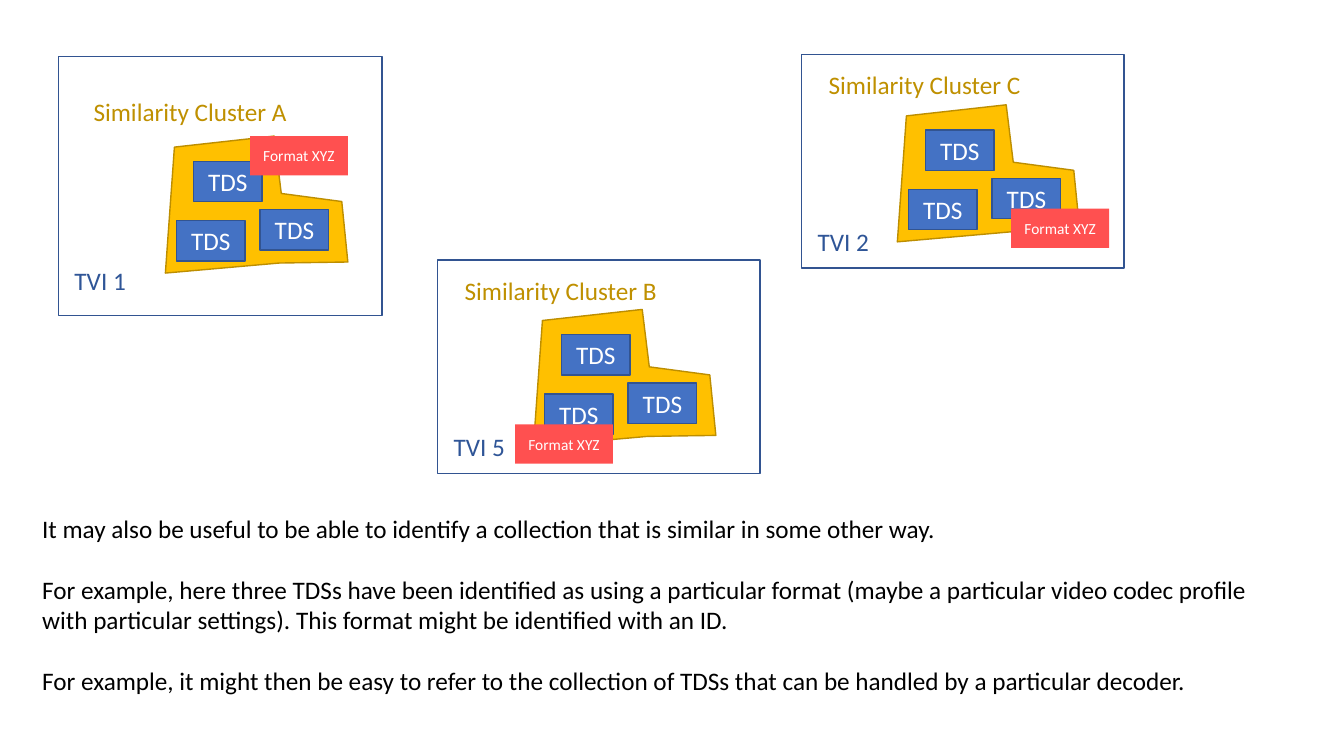
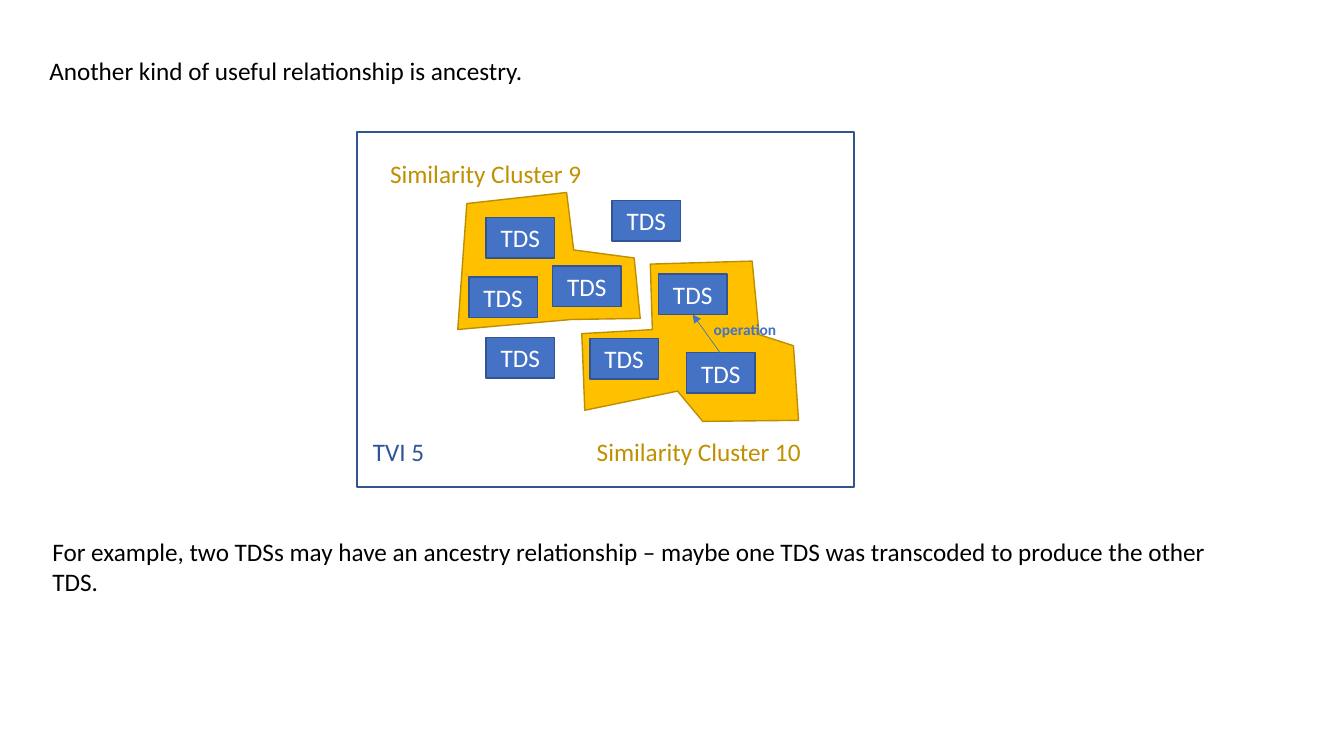
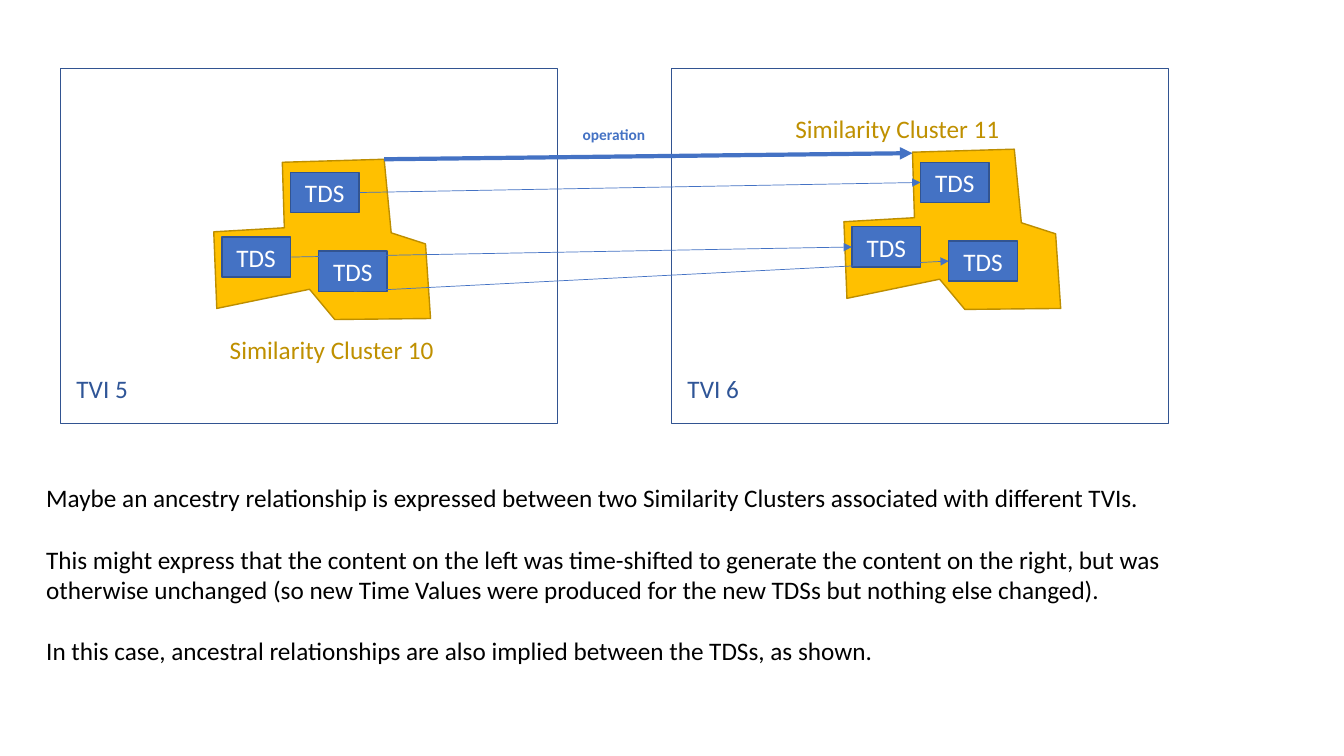
"""Build three slides on similarity clusters, shared formats and ancestry."""
from pptx import Presentation, util as u
from pptx.dml.color import RGBColor
from pptx.enum import shapes, text
from pptx.oxml.ns import qn
from lxml import etree

FONT = "Calibri"
BLUE, EDGE, NAVY = "4472C4", "325491", "2F5597"
GOLD, GOLD_EDGE, GOLD_TEXT = "FFC000", "BD8E00", "BF9000"
RED, WHITE, BLACK = "FF5050", "FFFFFF", "000000"

SMALL = {
    "outline": [(0.09, 0.11), (0, 1.36), (1.13, 1.26), (1.81, 1.25),
                (1.75, 0.65), (1.15, 0.57), (1.08, 0)],
    "tds": [(0.28, 0.25), (0.94, 0.73), (0.11, 0.84)],
}
LARGE = {
    "outline": [(0.68, 0.03), (0.7, 0.68), (0, 0.72), (0.03, 1.48), (0.95, 1.29),
                (1.2, 1.59), (2.15, 1.58), (2.1, 0.84), (1.76, 0.73), (1.69, 0)],
    "tds": [(0.76, 0.13), (0.08, 0.77), (1.04, 0.91)],
}

SLIDES = [
    {
        "clusters": [(SMALL, 1.64, 1.35), (SMALL, 8.9, 1.04), (SMALL, 5.29, 3.07)],
        "loose_tds": [],
        "frames": [("TVI 1", 0.58, 0.56, 3.21, 2.57, 2.58),
                   ("TVI 2", 7.95, 0.54, 3.2, 2.12, 2.2),
                   ("TVI 5", 4.34, 2.58, 3.2, 2.12, 4.23)],
        "names": [("Similarity Cluster A", 0.83, 0.91, 2.14),
                  ("Similarity Cluster C", 8.12, 0.64, 2.12),
                  ("Similarity Cluster B", 4.51, 2.68, 2.13)],
        "formats": [(2.48, 1.35), (5.11, 4.21), (10.03, 2.07)],
        "arrows": [],
        "operations": [],
        "notes": [(0.32, 5.04, 12.49, 1.92, [
            "It may also be useful to be able to identify a collection that is "
            "similar in some other way.",
            "For example, here three TDSs have been identified as using a particular "
            "format (maybe a particular video codec profile with particular settings). "
            "This format might be identified with an ID.",
            "For example, it might then be easy to refer to the collection of TDSs "
            "that can be handled by a particular decoder."])],
    },
    {
        "clusters": [(LARGE, 5.77, 2.59), (SMALL, 4.54, 1.91)],
        "loose_tds": [(6.07, 1.99), (4.82, 3.35)],
        "frames": [("TVI 5", 3.54, 1.31, 4.93, 3.52, 4.28)],
        "names": [("Similarity Cluster 9", 3.77, 1.52, 2.12),
                  ("Similarity Cluster 10", 5.82, 4.28, 2.25)],
        "formats": [],
        "arrows": [(7.15, 3.51, 6.87, 3.12, 0.5)],
        "operations": [(6.98, 3.13)],
        "notes": [
            (0.39, 0.5, 11.71, 0.71, ["Another kind of useful relationship is ancestry."]),
            (0.42, 5.27, 11.82, 0.71, [
                "For example, two TDSs may have an ancestry relationship – maybe one "
                "TDS was transcoded to produce the other TDS."])],
    },
    {
        "clusters": [(LARGE, 2.12, 1.58), (LARGE, 8.37, 1.48)],
        "loose_tds": [],
        "frames": [("TVI 5", 0.6, 0.68, 4.93, 3.52, 3.65),
                   ("TVI 6", 6.66, 0.68, 4.93, 3.52, 3.65)],
        "names": [("Similarity Cluster 10", 2.18, 3.27, 2.25),
                  ("Similarity Cluster 11", 7.79, 1.08, 2.25)],
        "formats": [],
        "arrows": [(3.81, 1.58, 9.05, 1.52, 3), (2.89, 2.55, 8.45, 2.45, 0.5),
                   (3.51, 2.89, 9.41, 2.59, 0.5), (3.57, 1.91, 9.13, 1.81, 0.5)],
        "operations": [(5.68, 1.19)],
        "notes": [(0.36, 4.74, 11.82, 1.92, [
            "Maybe an ancestry relationship is expressed between two Similarity "
            "Clusters associated with different TVIs.",
            "This might express that the content on the left was time-shifted to "
            "generate the content on the right, but was otherwise unchanged (so new "
            "Time Values were produced for the new TDSs but nothing else changed).",
            "In this case, ancestral relationships are also implied between the TDSs, "
            "as shown."])],
    },
]


def paint(sp, fill=None, line=None):
    sp.shadow.inherit = False
    for part, color in ((sp.fill, fill), (sp.line.fill, line)):
        if color:
            part.solid()
            part.fore_color.rgb = RGBColor.from_string(color)
        else:
            part.background()
    if line:
        sp.line.width = u.Pt(1)


def write(sp, *lines, size=18, color=BLACK, bold=False, center=False, wrap=True):
    tf = sp.text_frame
    tf.word_wrap = wrap
    if center:
        tf.vertical_anchor = text.MSO_ANCHOR.MIDDLE
    else:
        tf.auto_size = text.MSO_AUTO_SIZE.SHAPE_TO_FIT_TEXT
    for i, line in enumerate(lines):
        p = tf.add_paragraph() if i else tf.paragraphs[0]
        p.alignment = text.PP_ALIGN.CENTER if center else text.PP_ALIGN.LEFT
        p.space_before = u.Pt(22 if i else 0)
        r = p.add_run()
        r.text = line
        r.font.name, r.font.size, r.font.bold = FONT, u.Pt(size), bold
        r.font.color.rgb = RGBColor.from_string(color)


prs = Presentation()
prs.slide_width, prs.slide_height = u.Inches(13.33), u.Inches(7.5)

for content in SLIDES:
    s = prs.slides.add_slide(prs.slide_layouts[6]).shapes

    tds_places = list(content["loose_tds"])
    for kind, left, top in content["clusters"]:
        points = [(u.Inches(left + x), u.Inches(top + y)) for x, y in kind["outline"]]
        builder = s.build_freeform(*points[0])
        builder.add_line_segments(points[1:], close=True)
        paint(builder.convert_to_shape(), GOLD, GOLD_EDGE)
        tds_places += [(left + x, top + y) for x, y in kind["tds"]]

    for x, y in tds_places:
        sp = s.add_shape(shapes.MSO_SHAPE.RECTANGLE, u.Inches(x), u.Inches(y),
                         u.Inches(0.68), u.Inches(0.4))
        paint(sp, BLUE, EDGE)
        write(sp, "TDS", color=WHITE, center=True)

    labels = [(name, x, y, w, 0.4, {"color": GOLD_TEXT})
              for name, x, y, w in content["names"]]
    for name, x, y, w, h, label_top in content["frames"]:
        sp = s.add_shape(shapes.MSO_SHAPE.RECTANGLE, u.Inches(x), u.Inches(y),
                         u.Inches(w), u.Inches(h))
        paint(sp, line=EDGE)
        labels.append((name, x + 0.06, label_top, 0.72, 0.4, {"color": NAVY}))
    labels += [("operation", x, y, 0.83, 0.29, {"color": BLUE, "size": 11, "bold": True})
               for x, y in content["operations"]]

    for x1, y1, x2, y2, weight in content["arrows"]:
        arrow = s.add_connector(shapes.MSO_CONNECTOR.STRAIGHT, u.Inches(x1), u.Inches(y1),
                                u.Inches(x2), u.Inches(y2))
        arrow.line.color.rgb = RGBColor.from_string(BLUE)
        arrow.line.width = u.Pt(weight)
        etree.SubElement(arrow.line._get_or_add_ln(), qn("a:tailEnd"), type="triangle")
        etree.SubElement(arrow._element.spPr, qn("a:effectLst"))

    for name, x, y, w, h, style in labels:
        sp = s.add_textbox(u.Inches(x), u.Inches(y), u.Inches(w), u.Inches(h))
        write(sp, name, wrap=False, **style)

    for x, y in content["formats"]:
        sp = s.add_shape(shapes.MSO_SHAPE.RECTANGLE, u.Inches(x), u.Inches(y),
                         u.Inches(0.97), u.Inches(0.39))
        paint(sp, RED)
        write(sp, "Format XYZ", size=11, color=WHITE, center=True)

    for x, y, w, h, lines in content["notes"]:
        sp = s.add_textbox(u.Inches(x), u.Inches(y), u.Inches(w), u.Inches(h))
        write(sp, *lines)

prs.save("out.pptx")
